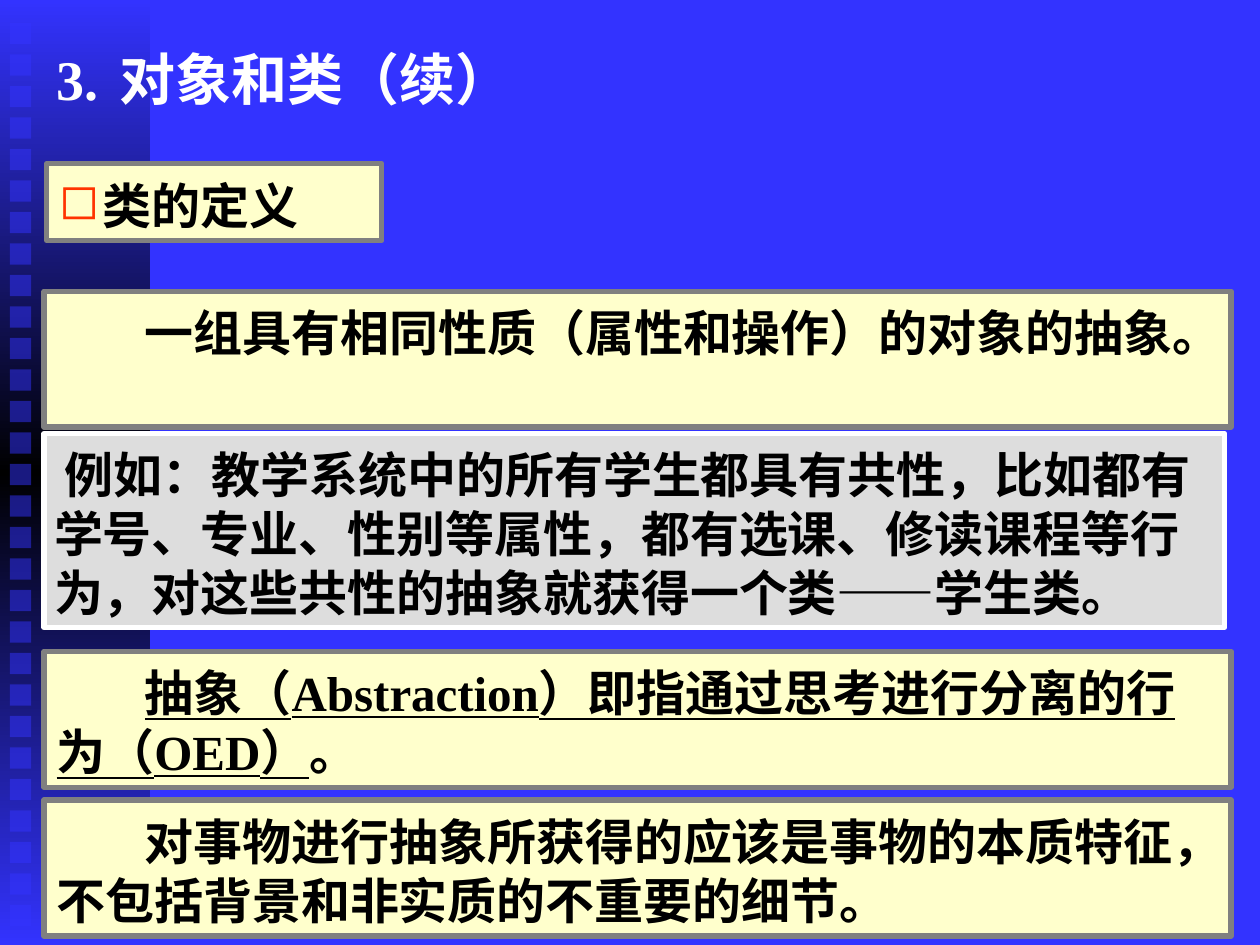
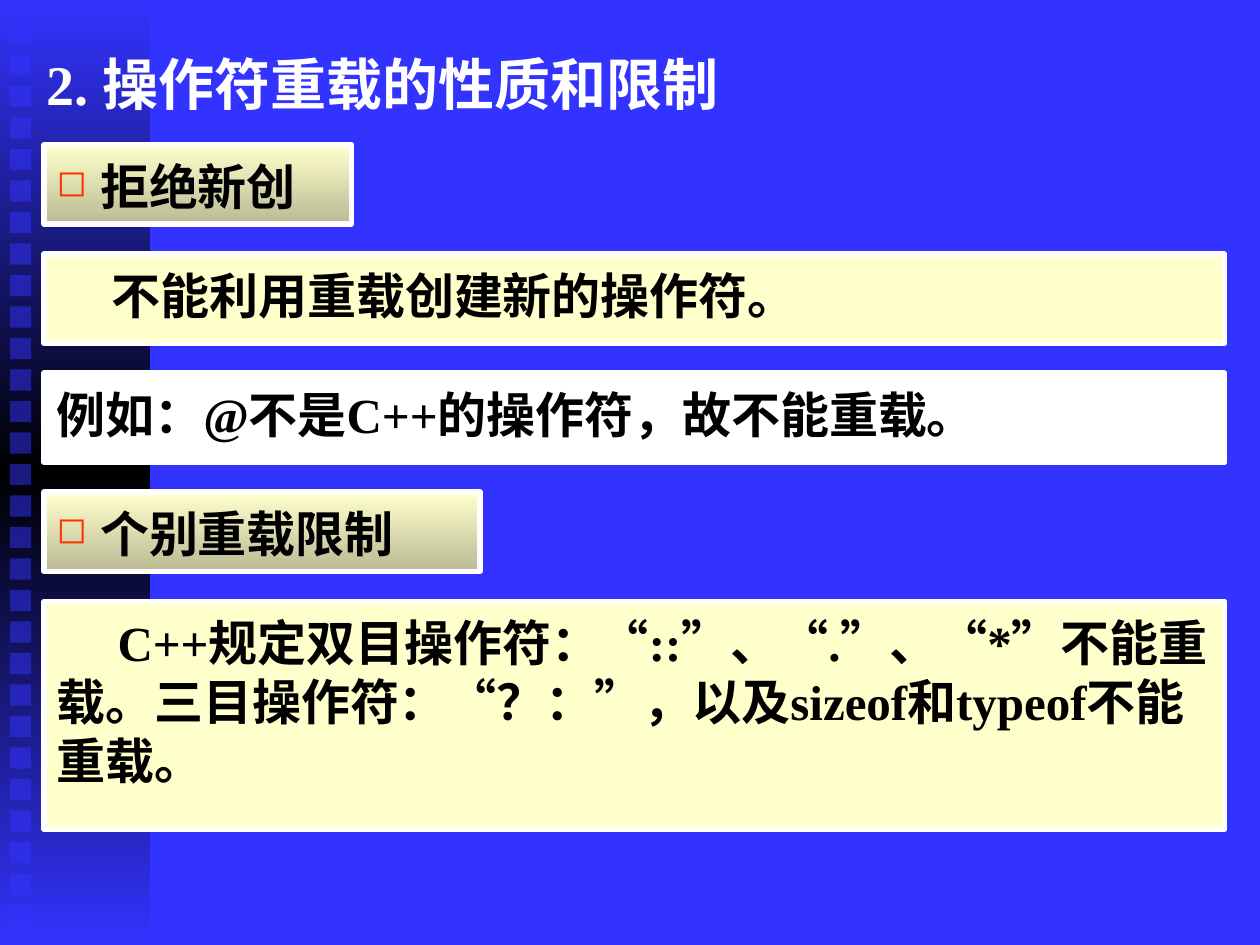
from dataclasses import dataclass

from pptx import Presentation
from pptx.dml.color import RGBColor as RGB
from pptx.enum.shapes import MSO_SHAPE as SHAPE
from pptx.enum.text import MSO_ANCHOR as ANCHOR
from pptx.oxml import parse_xml
from pptx.oxml.ns import nsdecls
from pptx.util import Cm, Pt


@dataclass(frozen=True)
class Theme:
    blue: str = "3333FF"
    black: str = "000000"
    white: str = "FFFFFF"
    cream: str = "FFFFCC"
    khaki: str = "BABA95"
    silver: str = "DDDDDD"
    gray: str = "808080"
    red: str = "FF3300"
    font: str = "Times New Roman"
    title_size: int = 32
    body_size: int = 28
    line_width: int = 3


T = Theme()
NS = nsdecls("a")
FRAME = dict(word_wrap=True, vertical_anchor=ANCHOR.TOP,
             margin_left=Cm(0.25), margin_right=Cm(0.25),
             margin_top=Cm(0.23), margin_bottom=Cm(0.13))
TITLE_FRAME = FRAME | dict(vertical_anchor=ANCHOR.MIDDLE, margin_top=Cm(0.13))
BODY = dict(name=T.font, size=Pt(T.body_size), bold=True)
TITLE = BODY | dict(size=Pt(T.title_size))


def add_rect(s, left, top, width, height, fill, line=None):
    """Add a rectangle; a tuple of colours gives a vertical gradient."""
    sp = s.shapes.add_shape(SHAPE.RECTANGLE, Cm(left), Cm(top), Cm(width), Cm(height))
    sp.shadow.inherit = False
    if isinstance(fill, tuple):
        sp.fill.background()
        stops = "".join(
            f'<a:gs pos="{100000 * i // (len(fill) - 1)}"><a:srgbClr val="{c}"/></a:gs>'
            for i, c in enumerate(fill))
        spPr = sp.fill._xPr
        spPr.replace(spPr.find("{*}noFill"), parse_xml(
            f'<a:gradFill {NS} rotWithShape="1"><a:gsLst>{stops}</a:gsLst>'
            '<a:lin ang="5400000" scaled="0"/></a:gradFill>'))
    else:
        sp.fill.solid()
        sp.fill.fore_color.rgb = RGB.from_string(fill)
    if line:
        sp.line.color.rgb = RGB.from_string(line)
        sp.line.width = Pt(T.line_width)
    else:
        sp.line.fill.background()
    return sp


def add_text(sp, runs, frame=FRAME, font=BODY, color=T.black,
             indent=0, bullet=0, tab=0, side=None):
    """Write (text, underlined) runs; bullet is the bullet size in percent."""
    tf = sp.text_frame
    for name, value in frame.items():
        setattr(tf, name, value)
    if side:
        tf.margin_left = tf.margin_right = Cm(side)
    p = tf.paragraphs[0]
    pPr = p._p.get_or_add_pPr()
    pPr.set("algn", "l")
    pPr.set("marL", str(Cm(0.88) if bullet else 0))
    pPr.set("indent", str(Cm(-0.88) if bullet else Cm(indent)))
    if bullet:
        for xml in (f'<a:buClr {NS}><a:srgbClr val="{T.red}"/></a:buClr>',
                    f'<a:buSzPct {NS} val="{bullet * 1000}"/>',
                    f'<a:buChar {NS} char="◻"/>'):
            pPr.append(parse_xml(xml))
    if tab:
        pPr.append(parse_xml(
            f'<a:tabLst {NS}><a:tab pos="{Cm(tab)}" algn="l"/></a:tabLst>'))
    for text, underlined in runs:
        r = p.add_run()
        r.text = text
        for name, value in font.items():
            setattr(r.font, name, value)
        r.font.color.rgb = RGB.from_string(color)
        if underlined:
            r.font.underline = True


prs = Presentation()
prs.slide_width, prs.slide_height = Cm(25.4), Cm(19.05)
bg = prs.slide_master.background.fill
bg.solid()
bg.fore_color.rgb = RGB.from_string(T.blue)

# Titles: text, left, top, width, tab stop after the number
titles = [("3.\t对象和类（续）", 0.89, 0.41, 17, 1.68),
          ("2. 操作符重载的性质和限制", 0.69, 0.53, 23.4, 0)]
slides = []
for text, left, top, width, tab in titles:
    s = prs.slides.add_slide(prs.slide_layouts[6])
    slides.append(s)
    # Left band with its column of half-transparent squares
    add_rect(s, 0, 0, 3.02, 19.05, (T.blue, T.black, T.blue))
    for i in range(29):
        sp = add_rect(s, 0.2, 0.46 + 17.78 * i / 28, 0.43, 0.43, T.blue)
        clr = sp.fill._xPr.find("{*}solidFill/{*}srgbClr")
        clr.append(parse_xml(f'<a:alpha {NS} val="50000"/>'))
    sp = s.shapes.add_textbox(Cm(left), Cm(top), Cm(width), Cm(2.31))
    add_text(sp, [(text, False)], TITLE_FRAME, TITLE, T.white, tab=tab)

# Slide 1: definition of a class
s = slides[0]
sp = add_rect(s, 0.94, 3.3, 6.76, 1.55, T.cream, T.gray)
add_text(sp, [("类的定义", False)], bullet=100)

definitions = [
    (5.87, [("一组具有相同性质（属性和操作）的对象的抽象。", False)]),
    (13.13, [("抽象（Abstraction）即指通过思考进行分离的行为（OED）", True), ("。", False)]),
    (16.13, [("对事物进行抽象所获得的应该是事物的本质特征，不包括背景和非实质的不重要的细节。", False)]),
]
for top, runs in definitions:
    sp = add_rect(s, 0.89, top, 23.93, 2.74, T.cream, T.gray)
    add_text(sp, runs, indent=1.78)

sp = add_rect(s, 0.89, 8.74, 23.8, 3.91, T.silver, T.white)
add_text(sp, [("例如：教学系统中的所有学生都具有共性，比如都有学号、专业、性别等属性，"
               "都有选课、修读课程等行为，对这些共性的抽象就获得一个类——学生类。", False)],
         indent=0.22, side=0.2)

# Slide 2: boxes stacked with equal gaps
s = slides[1]
heading = (T.cream, T.khaki)
full, gap, top = 23.8, 0.6, 2.92
boxes = [  # width, height, fill, text, text format
    (6.2, 1.6, heading, "拒绝新创", dict(bullet=75)),
    (full, 1.8, T.cream, "不能利用重载创建新的操作符。", dict(indent=1.11)),
    (full, 1.8, T.white, "例如：@不是C++的操作符，故不能重载。", {}),
    (8.79, 1.6, heading, "个别重载限制", dict(bullet=75)),
    (full, 4.6, T.cream, "C++规定双目操作符：“::”、“.”、“*”不能重载。"
     "三目操作符：“？：”，以及sizeof和typeof不能重载。", dict(indent=1.23)),
]
for width, height, fill, text, fmt in boxes:
    sp = add_rect(s, 0.89, top, width, height, fill, T.white)
    add_text(sp, [(text, False)], **fmt)
    top += height + gap

prs.save("out.pptx")
